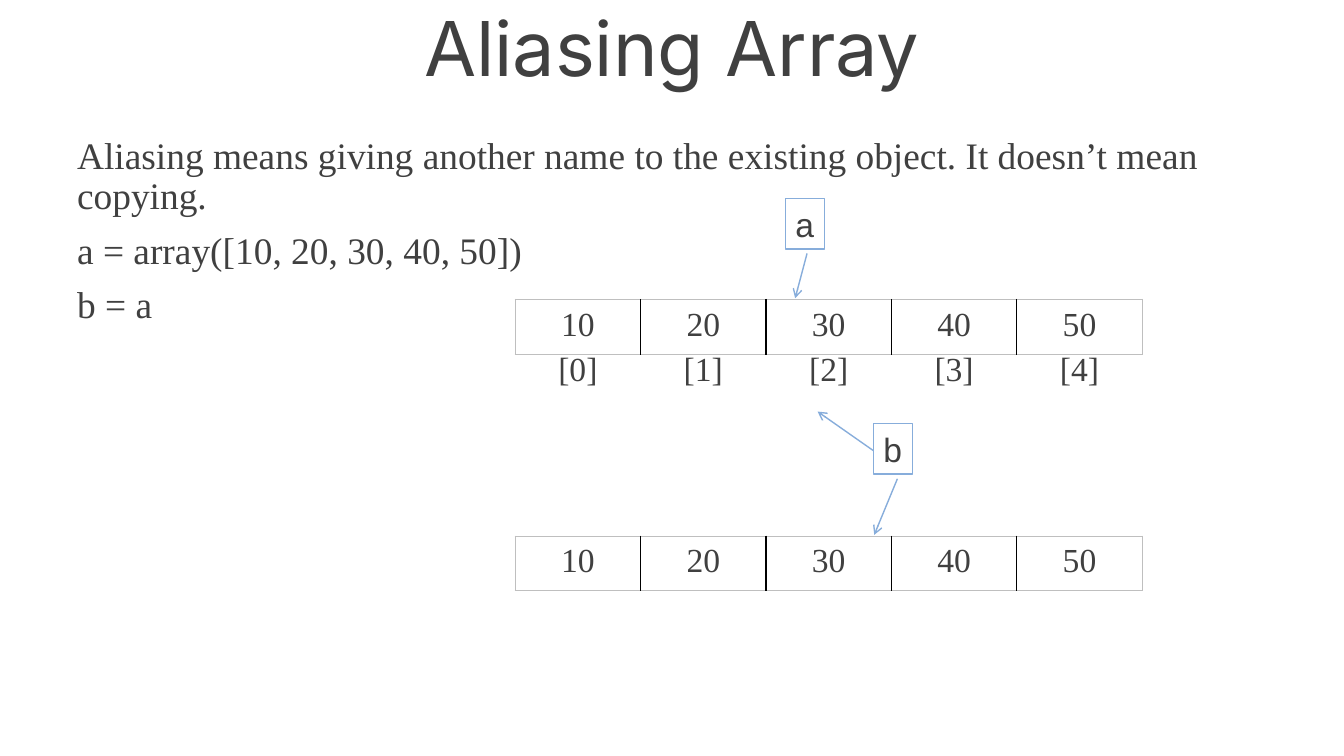
from dataclasses import dataclass

from lxml.etree import SubElement
from pptx import Presentation
from pptx.dml.color import RGBColor
from pptx.enum.shapes import MSO_CONNECTOR, MSO_SHAPE
from pptx.enum.text import MSO_ANCHOR, MSO_AUTO_SIZE, PP_ALIGN
from pptx.oxml import parse_xml
from pptx.oxml.ns import nsdecls, qn
from pptx.util import Pt


@dataclass(frozen=True)
class Theme:
    text: str = "404040"
    accent: str = "87ADDB"
    paper: str = "FFFFFF"
    divider: str = "000000"
    frame: str = "BFBFBF"
    title_font: str = "Inter"
    body_font: str = "Times New Roman"
    label_font: str = "Arial"
    title_size: float = 54
    body_size: float = 26.7
    cell_size: float = 24
    line_width: float = 1


class SlideBuilder:
    def __init__(self, page, theme):
        self.page = page
        self.theme = theme

    def style(self, para, name, size):
        para.font.name = name
        para.font.size = Pt(size)
        para.font.color.rgb = RGBColor.from_string(self.theme.text)

    def outline(self, line):
        line.color.rgb = RGBColor.from_string(self.theme.accent)
        line.width = Pt(self.theme.line_width)

    def title(self, text, left, top, width, height):
        box = self.page.shapes.title
        box.left, box.top, box.width, box.height = map(Pt, (left, top, width, height))
        frame = box.text_frame
        frame.text = text
        frame.vertical_anchor = MSO_ANCHOR.TOP
        frame.auto_size = MSO_AUTO_SIZE.NONE
        para = frame.paragraphs[0]
        para.alignment = PP_ALIGN.CENTER
        para.line_spacing = 0.9
        self.style(para, self.theme.title_font, self.theme.title_size)

    def body(self, lines, left, top, width, height):
        box = self.page.shapes.add_textbox(*map(Pt, (left, top, width, height)))
        frame = box.text_frame
        frame.word_wrap = True
        frame.text = "\n".join(lines)
        for index, para in enumerate(frame.paragraphs):
            para.line_spacing = 0.9
            para.space_before = Pt(10 if index else 0)
            self.style(para, self.theme.body_font, self.theme.body_size)

    def label(self, text, left, top, width=28, height=36):
        box = self.page.shapes.add_shape(
            MSO_SHAPE.RECTANGLE, *map(Pt, (left, top, width, height)))
        box.shadow.inherit = False
        box.fill.solid()
        box.fill.fore_color.rgb = RGBColor.from_string(self.theme.paper)
        self.outline(box.line)
        frame = box.text_frame
        frame.word_wrap = False
        frame.auto_size = MSO_AUTO_SIZE.SHAPE_TO_FIT_TEXT
        frame.text = text
        para = frame.paragraphs[0]
        para.alignment = PP_ALIGN.LEFT
        self.style(para, self.theme.label_font, self.theme.cell_size)

    def arrow(self, *ends):
        arrow = self.page.shapes.add_connector(MSO_CONNECTOR.STRAIGHT, *map(Pt, ends))
        self.outline(arrow.line)
        SubElement(arrow.line._get_or_add_ln(), qn("a:tailEnd"), type="arrow")
        SubElement(arrow._element.spPr, qn("a:effectLst"))

    def border(self, cell, position, side, color):
        paint = f'<a:solidFill><a:srgbClr val="{color}"/></a:solidFill>' if color else "<a:noFill/>"
        line = parse_xml(f'<a:ln{side} {nsdecls("a")} w="{Pt(self.theme.line_width)}">{paint}</a:ln{side}>')
        cell._tc.get_or_add_tcPr().insert(position, line)

    def row(self, values, left, top, width, height, ruled=True):
        shape = self.page.shapes.add_table(1, len(values), *map(Pt, (left, top, width, height)))
        table = shape.table
        table.first_row = table.horz_banding = False
        last = len(values) - 1
        for index, value in enumerate(values):
            table.columns[index].width = Pt(width / len(values))
            cell = table.cell(0, index)
            cell.text = value
            cell.margin_left = cell.margin_right = Pt(9.6)
            cell.margin_top = cell.margin_bottom = Pt(4.8)
            cell.fill.background()
            para = cell.text_frame.paragraphs[0]
            para.alignment = PP_ALIGN.CENTER
            self.style(para, self.theme.body_font, self.theme.cell_size)
            # Dark dividers inside, a light frame outside
            inner = {"L": index > 0, "R": index < last, "T": False, "B": False}
            for position, (side, divides) in enumerate(inner.items()):
                color = self.theme.divider if divides else self.theme.frame
                self.border(cell, position, side, color if ruled else None)


def main():
    deck = Presentation()
    deck.slide_width, deck.slide_height = Pt(960), Pt(540)
    page = deck.slides.add_slide(deck.slide_layouts[5])
    builder = SlideBuilder(page, Theme())

    # Title and explanation
    builder.title("Aliasing Array", 48, 4.5, 864, 90)
    builder.body([
        "Aliasing means giving another name to the existing object. It doesn’t mean copying.",
        "a = array([10, 20, 30, 40, 50])",
        "b = a",
    ], 48, 94.5, 864, 356)

    # Names and their arrows
    builder.label("a", 561, 142)
    builder.arrow(576.5, 181, 568, 213)
    builder.label("b", 624, 302.5)
    builder.arrow(641, 342, 624.5, 382)
    builder.arrow(624, 322, 584, 294)

    # Array with its indexes, then the same array again
    values = [str(number) for number in range(10, 51, 10)]
    indexes = [f"[{index}]" for index in range(len(values))]
    builder.row(values, 368, 214, 448, 39)
    builder.row(indexes, 368, 246, 448, 39, ruled=False)
    builder.row(values, 368, 383, 448, 39)

    deck.save("out.pptx")


if __name__ == "__main__":
    main()
